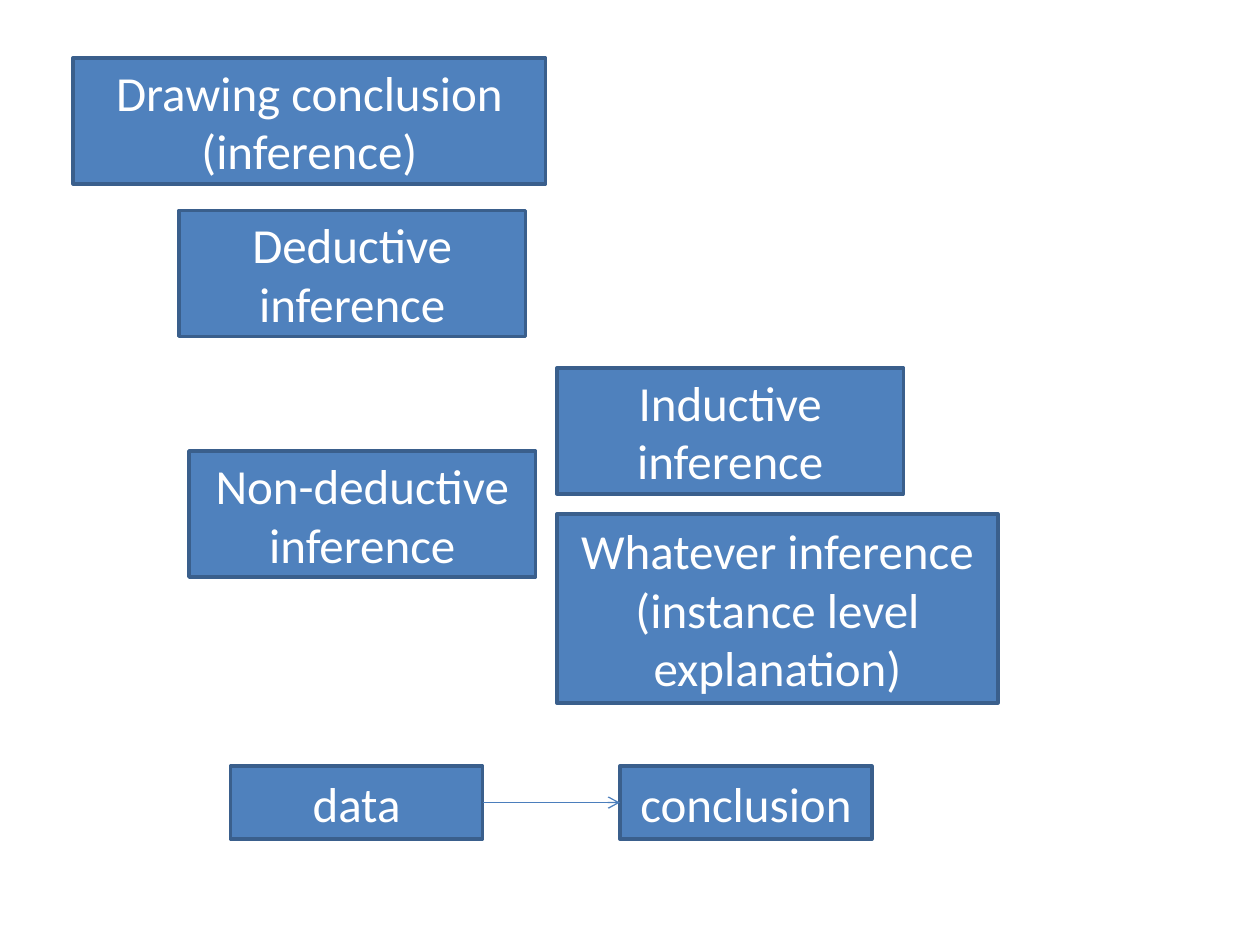
from dataclasses import dataclass

from lxml.etree import SubElement
from pptx import Presentation
from pptx.dml.color import RGBColor
from pptx.enum.shapes import MSO_CONNECTOR as Connector, MSO_SHAPE as Shape
from pptx.enum.text import MSO_ANCHOR as Anchor, PP_ALIGN as Align
from pptx.oxml.ns import qn
from pptx.util import Inches, Pt


@dataclass(frozen=True)
class Theme:
    font: str = "Calibri"
    size: Pt = Pt(28)
    text: RGBColor = RGBColor(0xFF, 0xFF, 0xFF)
    fill: RGBColor = RGBColor(0x4F, 0x81, 0xBD)
    border: RGBColor = RGBColor(0x3A, 0x5F, 0x8C)
    border_width: Pt = Pt(2)
    arrow: RGBColor = RGBColor(0x4B, 0x7E, 0xBC)
    arrow_width: Pt = Pt(0.75)


@dataclass(frozen=True)
class Concept:
    text: str
    left: float
    top: float
    width: float = 2.75
    height: float = 1


THEME = Theme()

INFERENCES = [
    Concept("Drawing conclusion (inference)", 0.58, 0.46, width=3.75),
    Concept("Deductive inference", 1.42, 1.67),
    Concept("Inductive inference", 4.42, 2.92),
    Concept("Whatever inference (instance level explanation)", 4.42, 4.08, 3.5, 1.5),
    Concept("Non-deductive inference", 1.5, 3.58),
]
DATA = Concept("data", 1.83, 6.08, 2, 0.58)
CONCLUSION = Concept("conclusion", 4.92, 6.08, 2, 0.58)


def add_concept(page, concept: Concept):
    """Draw one labelled rectangle."""
    box = page.shapes.add_shape(
        Shape.RECTANGLE, Inches(concept.left), Inches(concept.top),
        Inches(concept.width), Inches(concept.height))
    box.shadow.inherit = False
    box.fill.solid()
    box.fill.fore_color.rgb = THEME.fill
    box.line.color.rgb = THEME.border
    box.line.width = THEME.border_width

    frame = box.text_frame
    frame.word_wrap = True
    frame.vertical_anchor = Anchor.MIDDLE
    para = frame.paragraphs[0]
    para.text = concept.text
    para.alignment = Align.CENTER
    para.font.name = THEME.font
    para.font.size = THEME.size
    para.font.color.rgb = THEME.text
    return box


def add_arrow(page, source, target) -> None:
    """Join the right side of one box to the left side of another."""
    arrow = page.shapes.add_connector(Connector.STRAIGHT, 0, 0, 0, 0)
    arrow.begin_connect(source, 3)
    arrow.end_connect(target, 1)
    arrow.line.color.rgb = THEME.arrow
    arrow.line.width = THEME.arrow_width
    SubElement(arrow.line._get_or_add_ln(), qn("a:tailEnd"), type="arrow")
    SubElement(arrow._element.spPr, qn("a:effectLst"))


def main() -> None:
    deck = Presentation()
    deck.slide_width, deck.slide_height = Inches(10), Inches(7.5)
    page = deck.slides.add_slide(deck.slide_layouts[6])

    # Kinds of inference
    for concept in INFERENCES:
        add_concept(page, concept)

    # From data to conclusion
    add_arrow(page, add_concept(page, DATA), add_concept(page, CONCLUSION))

    deck.save("out.pptx")


main()
